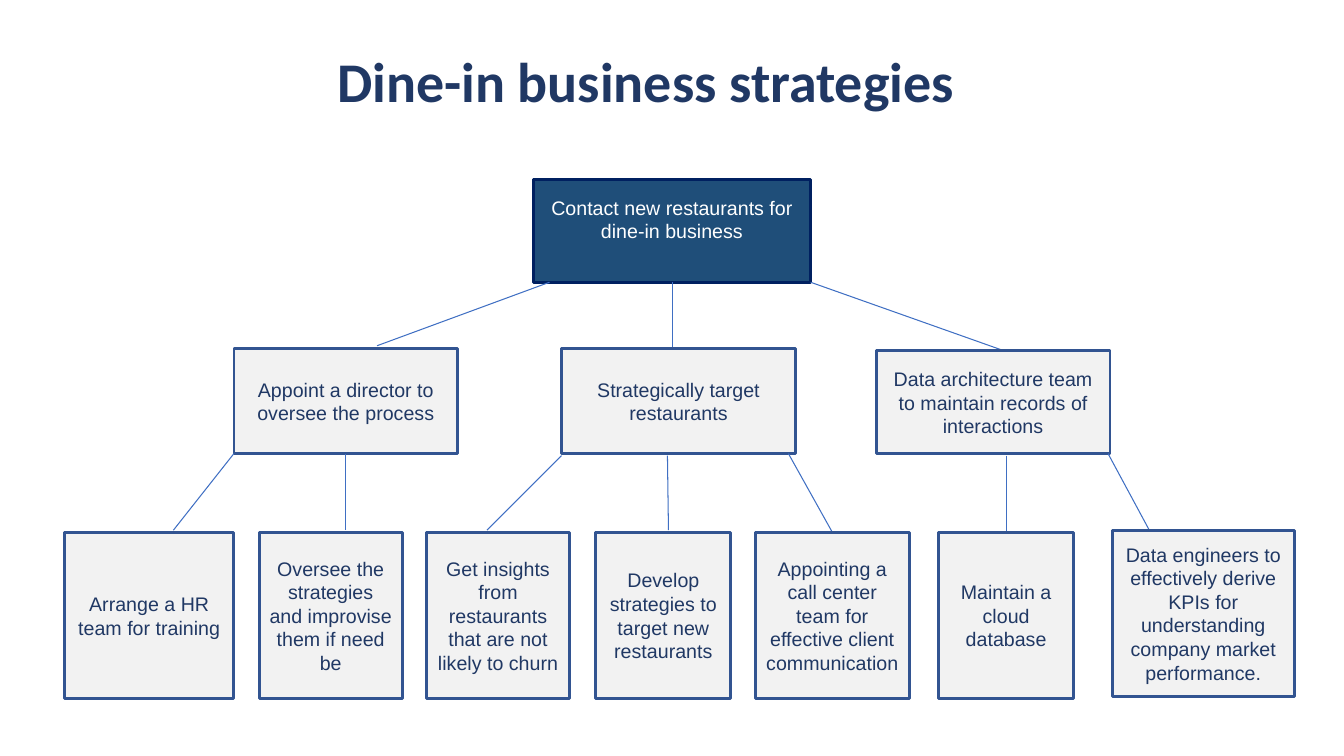
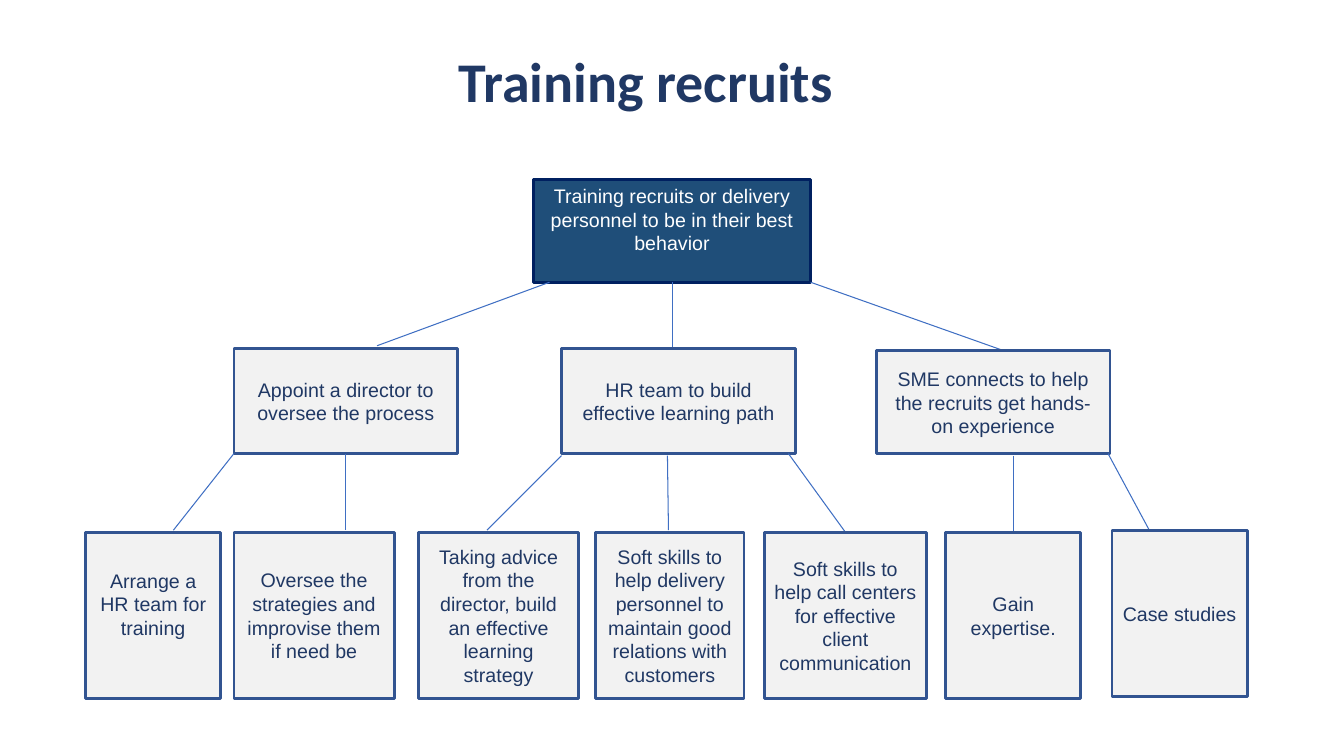
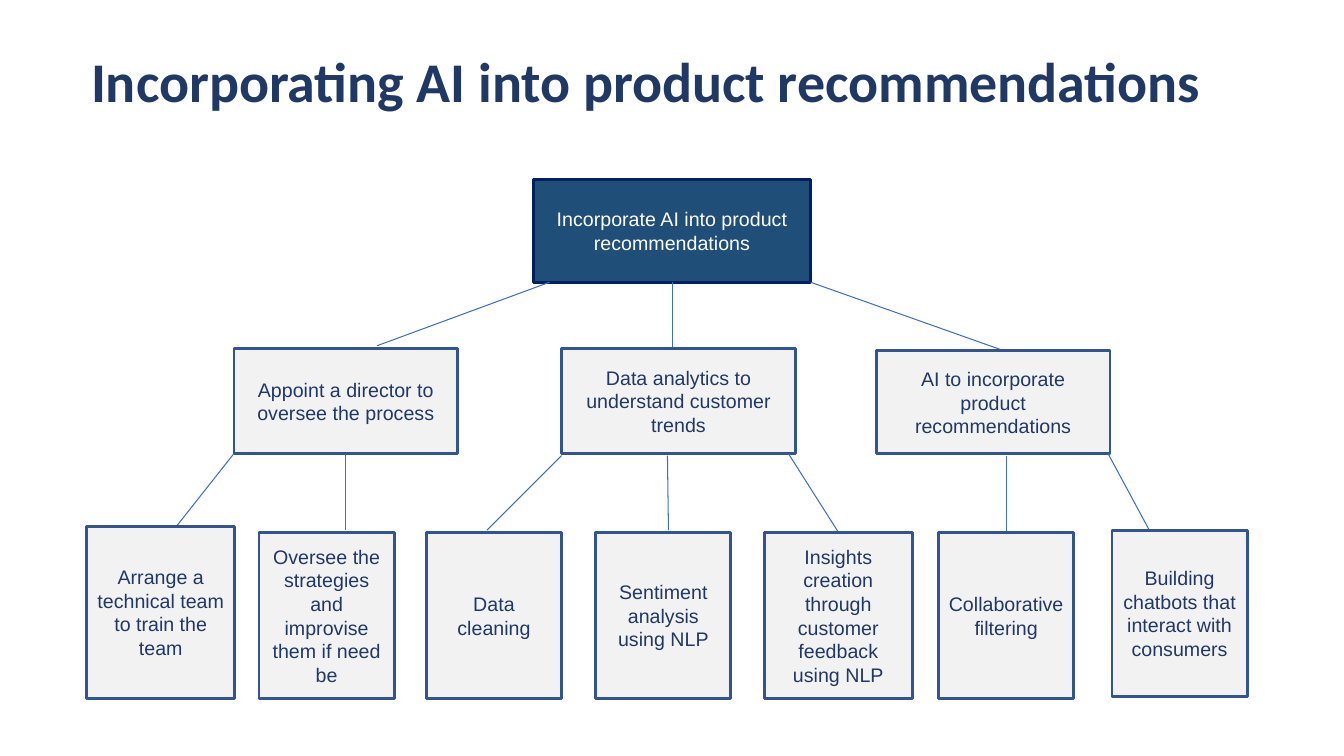
import collections
import pptx
import pptx.dml.color
import pptx.enum.shapes
import pptx.enum.text
import pptx.oxml
import pptx.oxml.ns
import pptx.util

Inches, Pt = pptx.util.Inches, pptx.util.Pt
ALIGN = pptx.enum.text.PP_ALIGN
ANCHOR = pptx.enum.text.MSO_ANCHOR

NAVY, PALE, EDGE, LINK = "203864", "F2F2F2", "325491", "3F6FC3"
ROOT_FILL, ROOT_EDGE, WHITE = "1F4E79", "002060", "FFFFFF"
LINE_GAP = 0.23

Leaf = collections.namedtuple("Leaf", "left width text top height lift", defaults=(5.28, 1.65, 0))
Chart = collections.namedtuple("Chart", "title root root_lift branches leaves")

CHARTS = [
    Chart(
        "Dine-in business strategies",
        "Contact new restaurants for dine-in business", LINE_GAP,
        ["Appoint a director to oversee the process",
         "Strategically target restaurants",
         "Data architecture team to maintain records of interactions"],
        [Leaf(0.64, 1.68, "Arrange a HR team for training"),
         Leaf(2.57, 1.42, "Oversee the strategies and improvise them if need be"),
         Leaf(4.23, 1.42, "Get insights from restaurants that are not likely to churn"),
         Leaf(5.91, 1.34, "Develop strategies to target new restaurants"),
         Leaf(7.49, 1.53, "Appointing a call center team for effective client communication"),
         Leaf(9.31, 1.34, "Maintain a cloud database"),
         Leaf(11.03, 1.81, "Data engineers to effectively derive KPIs for understanding "
              "company market performance.", top=5.26)]),
    Chart(
        "Training recruits",
        "Training recruits or delivery personnel to be in their best behavior", LINE_GAP,
        ["Appoint a director to oversee the process",
         "HR team to build effective learning path",
         "SME connects to help the recruits get hands-on experience"],
        [Leaf(0.85, 1.34, "Arrange a HR team for training", lift=LINE_GAP),
         Leaf(2.32, 1.59, "Oversee the strategies and improvise them if need be"),
         Leaf(4.15, 1.59, "Taking advice from the director, build an effective learning strategy"),
         Leaf(5.91, 1.47, "Soft skills to help delivery personnel to maintain good "
              "relations with\ncustomers"),
         Leaf(7.58, 1.61, "Soft skills to help call centers for effective client communication"),
         Leaf(9.38, 1.34, "Gain expertise."),
         Leaf(11.03, 1.34, "Case studies", top=5.26)]),
    Chart(
        "Incorporating AI into product recommendations",
        "Incorporate AI into product recommendations", 0,
        ["Appoint a director to oversee the process",
         "Data analytics to understand customer trends",
         "AI to incorporate product recommendations"],
        [Leaf(0.86, 1.47, "Arrange a technical team to train the team", top=5.22, height=1.71),
         Leaf(2.57, 1.34, "Oversee the strategies and improvise them if need be"),
         Leaf(4.23, 1.34, "Data cleaning"),
         Leaf(5.91, 1.34, "Sentiment analysis using NLP"),
         Leaf(7.58, 1.47, "Insights creation through customer feedback using NLP"),
         Leaf(9.31, 1.34, "Collaborative filtering"),
         Leaf(11.03, 1.34, "Building chatbots that interact with consumers", top=5.26)]),
]

TITLE_BOX = (0.64, 0.33, 11.53, 1.02)
ROOT_BOX = (5.29, 1.78, 2.75, 1.02)
BRANCH_BOXES = [(2.32, 3.46, 2.22, 1.04), (5.57, 3.46, 2.32, 1.04), (8.69, 3.48, 2.32, 1.02)]
ROOT_LINKS = [(5.45, 2.8, 3.74, 3.43), (6.67, 2.8, 6.67, 3.62), (8.04, 2.8, 10.72, 3.75)]


def leaf_links(leaves):
    call_x, sixth_x = (leaf.left + leaf.width / 2 for leaf in leaves[4:6])
    return [
        (2.32, 4.5, 1.72, 5.26),
        (3.43, 4.5, 3.43, 5.26),
        (5.57, 4.52, 4.83, 5.26),
        (6.62, 4.52, 6.63, 5.26),
        (7.82, 4.5, call_x, 5.28),
        (sixth_x, 4.52, sixth_x, 5.28),
        (10.99, 4.5, 11.41, 5.28),
    ]


def rgb(value):
    return pptx.dml.color.RGBColor.from_string(value)


def write(sp, text, font, size, color, bold=False, spacing=None):
    tf = sp.text_frame
    tf.word_wrap = True
    tf.vertical_anchor = ANCHOR.MIDDLE
    tf.text = text
    for p in tf.paragraphs:
        p.alignment = ALIGN.CENTER
        p.line_spacing = spacing
        p.font.name = font
        p.font.size = Pt(size)
        p.font.bold = bold
        p.font.color.rgb = rgb(color)


def add_title(slide, text):
    sp = slide.shapes.add_textbox(*map(Inches, TITLE_BOX))
    write(sp, text, "Calibri", 40, NAVY, bold=True, spacing=0.9)


def add_box(slide, box, text, fill=PALE, edge=EDGE, color=NAVY, lift=0):
    sp = slide.shapes.add_shape(pptx.enum.shapes.MSO_SHAPE.RECTANGLE, *map(Inches, box))
    sp.shadow.inherit = False
    sp.fill.solid()
    sp.fill.fore_color.rgb = rgb(fill)
    sp.line.color.rgb = rgb(edge)
    sp.line.width = Pt(2)
    write(sp, text, "Arial", 14, color)
    sp.text_frame.margin_bottom = Inches(0.05 + lift)


def add_links(slide, links):
    for ends in links:
        line = slide.shapes.add_connector(
            pptx.enum.shapes.MSO_CONNECTOR.STRAIGHT, *map(Inches, ends))
        line.line.color.rgb = rgb(LINK)
        line.line.width = Pt(0.75)
        line._element.spPr.append(pptx.oxml.parse_xml(
            "<a:effectLst %s/>" % pptx.oxml.ns.nsdecls("a")))


prs = pptx.Presentation()
prs.slide_width, prs.slide_height = Inches(13.33), Inches(7.5)
for chart in CHARTS:
    slide = prs.slides.add_slide(prs.slide_layouts[6])
    add_title(slide, chart.title)
    add_box(slide, ROOT_BOX, chart.root, ROOT_FILL, ROOT_EDGE, WHITE, chart.root_lift)
    add_links(slide, ROOT_LINKS)
    for box, text in zip(BRANCH_BOXES, chart.branches):
        add_box(slide, box, text)
    add_links(slide, leaf_links(chart.leaves))
    for leaf in chart.leaves:
        add_box(slide, (leaf.left, leaf.top, leaf.width, leaf.height), leaf.text, lift=leaf.lift)
prs.save("out.pptx")
